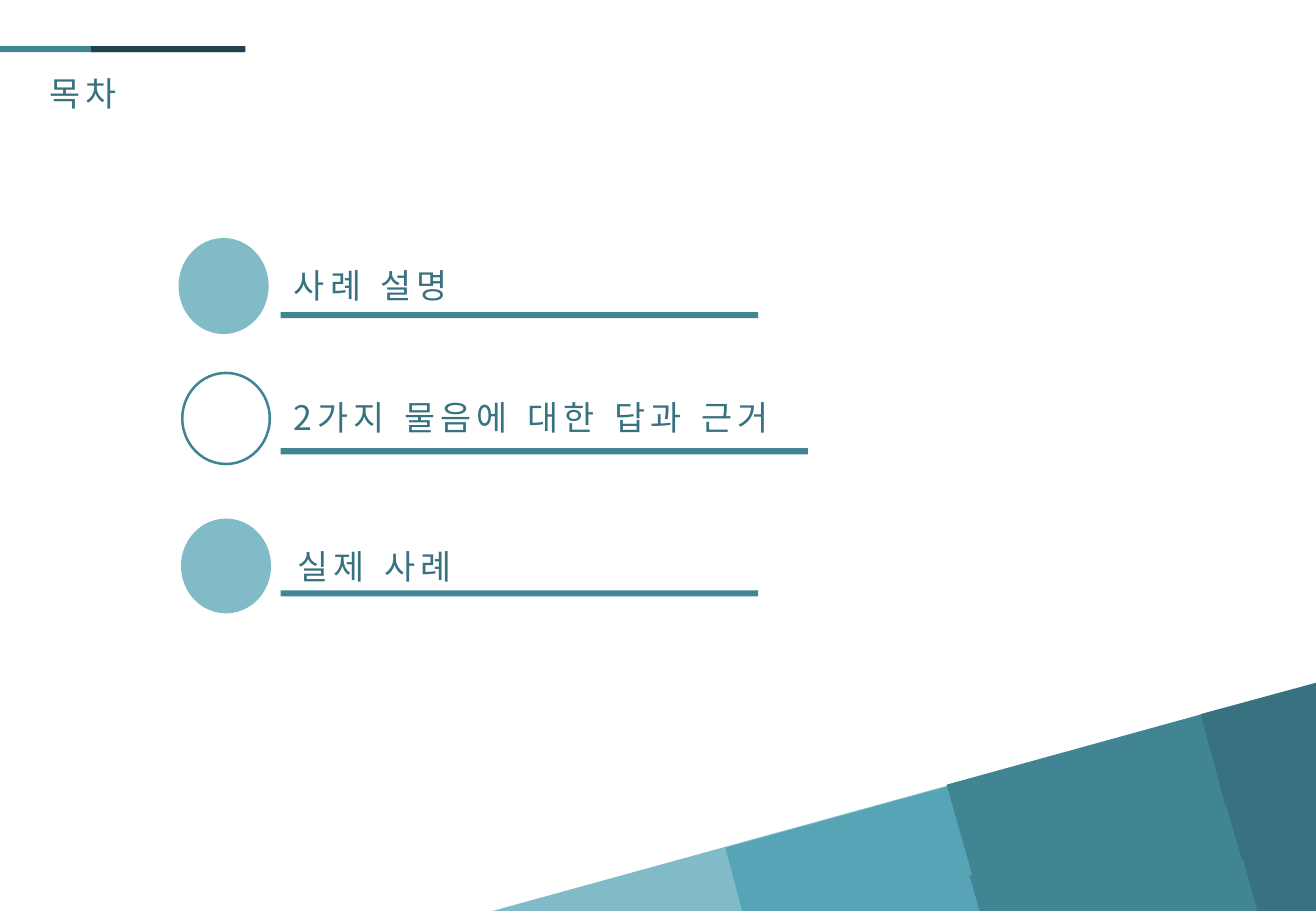
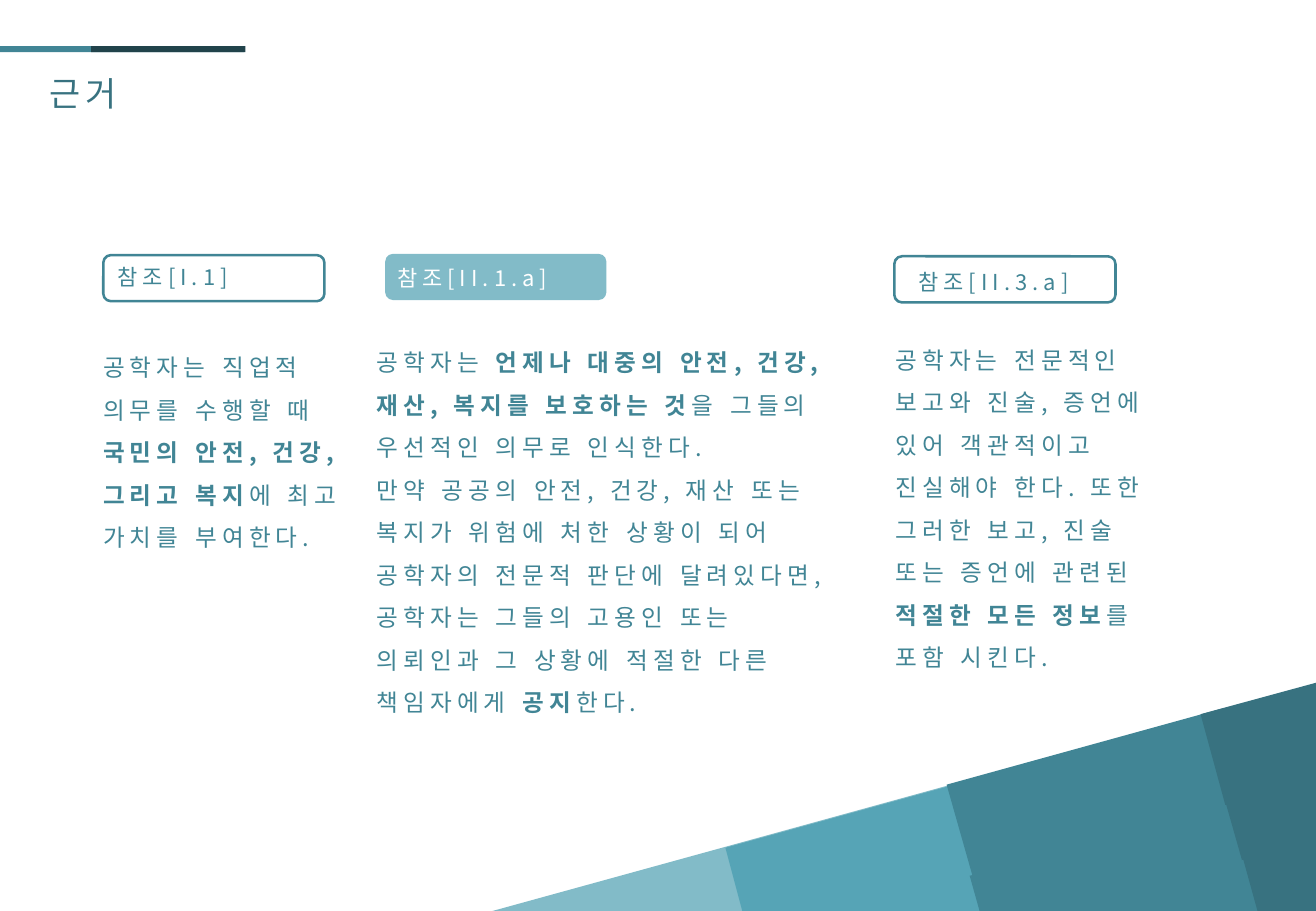
from dataclasses import dataclass
from typing import Optional

import pptx
import pptx.dml.color
import pptx.enum.shapes
import pptx.enum.text
import pptx.oxml
import pptx.oxml.ns
import pptx.util

Inches = pptx.util.Inches
Shapes = pptx.enum.shapes.MSO_SHAPE

# Shared style
FONT = "Noto Sans CJK KR"
LIGHT, MIDDLE, TEAL, DEEP, DARK = "82BBC8", "56A4B6", "418595", "387280", "21434B"
WHITE = "FFFFFF"
HEADING = {"size": pptx.util.Pt(20), "name": FONT}
BADGE = {"size": pptx.util.Pt(13), "name": FONT}
BODY = {"size": pptx.util.Pt(14), "name": FONT}
BAR_HEIGHT = 0.05
RULE_LEFT = 2.31

# Corner facets, from back to front
FACETS = [
    (LIGHT, [(8.08, 6.39), (8.18, 7.3), (7.32, 7.54), (3.99, 7.54), (3.98, 7.52)]),
    (MIDDLE, [(10.07, 5.85), (10.17, 6.77), (7.23, 7.58), (6.13, 7.58), (5.97, 6.98)]),
    (TEAL, [(10.07, 5.83), (10.17, 6.75), (8.04, 7.34), (7.79, 6.46)]),
    (DEEP, [(10.87, 5.61), (10.87, 6.56), (10.12, 6.76), (9.88, 5.88)]),
    (MIDDLE, [(10.29, 6.6), (10.39, 7.52), (10.21, 7.57), (6.78, 7.57)]),
    (TEAL, [(10.26, 6.58), (10.36, 7.5), (10.25, 7.53), (8.07, 7.53), (7.98, 7.21)]),
    (DEEP, [(10.86, 6.41), (10.86, 7.36), (10.34, 7.5), (10.09, 6.62)]),
    (TEAL, [(10.41, 7.03), (10.46, 7.53), (8.58, 7.53)]),
    (DEEP, [(10.86, 6.9), (10.86, 7.54), (10.36, 7.54), (10.23, 7.07)]),
]


@dataclass
class Box:
    left: float
    top: float
    width: float
    height: float

    def lengths(self) -> list:
        return [Inches(n) for n in (self.left, self.top, self.width, self.height)]


@dataclass
class AgendaItem:
    text: str
    text_box: Box
    circle: Box
    rule_top: float
    rule_width: float
    filled: bool = True


@dataclass
class Run:
    text: str
    bold: bool = False


@dataclass
class Reference:
    label: str
    label_box: Box
    badge: Box
    body_box: Box
    paragraphs: list
    filled: bool = False


AGENDA = [
    AgendaItem("사례 설명", Box(2.32, 2.13, 4.28, 0.44), Box(1.48, 1.97, 0.72, 0.77), 2.57, 3.93),
    AgendaItem("2가지 물음에 대한 답과 근거", Box(2.32, 3.22, 4.66, 0.44),
               Box(1.5, 3.07, 0.72, 0.75), 3.69, 4.34, filled=False),
    AgendaItem("실제 사례", Box(2.35, 4.44, 4.28, 0.44), Box(1.5, 4.28, 0.72, 0.76), 4.86, 3.93),
]

REFERENCES = [
    Reference("참조[I.1]", Box(0.87, 2.12, 1.61, 0.32), Box(0.85, 2.1, 1.82, 0.38),
              Box(0.75, 2.74, 2.26, 2.18), [[
                  Run("공학자는 직업적 의무를 수행할 때 "),
                  Run("국민의 안전, 건강, 그리고 복지", True),
                  Run("에 최고 가치를 부여한다."),
              ]]),
    Reference("참조[II.1.a]", Box(3.17, 2.13, 1.61, 0.32), Box(3.17, 2.09, 1.82, 0.38),
              Box(3, 2.7, 4.04, 3.24), [[
                  Run("공학자는 "),
                  Run("언제나 대중의 안전, 건강, 재산, 복지를 보호하는 것", True),
                  Run("을 그들의 우선적인 의무로 인식한다."),
              ], [
                  Run("만약 공공의 안전, 건강, 재산 또는 복지가 위험에 처한 상황이 되어 "
                      "공학자의 전문적 판단에 달려있다면, 공학자는 그들의 고용인 또는 "
                      "의뢰인과 그 상황에 적절한 다른 책임자에게 "),
                  Run("공지", True),
                  Run("한다."),
              ]], filled=True),
    Reference("참조[II.3.a]", Box(7.46, 2.16, 1.61, 0.32), Box(7.36, 2.11, 1.82, 0.38),
              Box(7.27, 2.68, 2.26, 3.24), [[
                  Run("공학자는 전문적인 보고와 진술, 증언에 있어 객관적이고 진실해야 한다. "
                      "또한 그러한 보고, 진술 또는 증언에 관련된 "),
                  Run("적절한 모든 정보", True),
                  Run("를 포함 시킨다."),
              ]]),
]


def rgb(color: str) -> pptx.dml.color.RGBColor:
    return pptx.dml.color.RGBColor.from_string(color)


def paint(shape, fill: Optional[str] = None, line: Optional[str] = None) -> None:
    shape.shadow.inherit = False
    if fill:
        shape.fill.solid()
        shape.fill.fore_color.rgb = rgb(fill)
    else:
        shape.fill.background()
    if line:
        shape.line.color.rgb = rgb(line)
        shape.line.width = pptx.util.Pt(1.5)
    else:
        shape.line.fill.background()


def add_shape(slide, kind, box: Box, fill: Optional[str] = None,
              line: Optional[str] = None) -> None:
    paint(slide.shapes.add_shape(kind, *box.lengths()), fill, line)


def add_text(slide, box: Box, paragraphs: list, style: dict, color: str,
             line_spacing: Optional[float] = None) -> None:
    frame = slide.shapes.add_textbox(*box.lengths()).text_frame
    frame.word_wrap = True
    frame.auto_size = pptx.enum.text.MSO_AUTO_SIZE.SHAPE_TO_FIT_TEXT
    for index, runs in enumerate(paragraphs):
        paragraph = frame.add_paragraph() if index else frame.paragraphs[0]
        paragraph.line_spacing = line_spacing
        for item in runs:
            run = paragraph.add_run()
            run.text = item.text
            for name, value in {**style, "bold": item.bold}.items():
                setattr(run.font, name, value)
            run.font.color.rgb = rgb(color)
            # Letter spacing and the East Asian typeface
            properties = run._r.get_or_add_rPr()
            properties.set("lang", "ko-KR")
            properties.set("spc", "300")
            east_asian = pptx.oxml.parse_xml(
                f'<a:ea {pptx.oxml.ns.nsdecls("a")} typeface="{FONT}"/>')
            properties.find(pptx.oxml.ns.qn("a:latin")).addnext(east_asian)


def add_base_slide(presentation, title: str):
    slide = presentation.slides.add_slide(presentation.slide_layouts[6])
    add_text(slide, Box(0.31, 0.55, 4.28, 0.44), [[Run(title)]], HEADING, DEEP)
    add_shape(slide, Shapes.RECTANGLE, Box(0, 0.38, 2.01, BAR_HEIGHT), TEAL)
    add_shape(slide, Shapes.RECTANGLE, Box(0.75, 0.38, 1.27, BAR_HEIGHT), DARK)
    for color, corners in FACETS:
        points = [(Inches(x), Inches(y)) for x, y in corners]
        builder = slide.shapes.build_freeform(*points[0])
        builder.add_line_segments(points[1:], close=True)
        paint(builder.convert_to_shape(), color)
    return slide


def build_agenda(presentation) -> None:
    slide = add_base_slide(presentation, "목차")
    for item in AGENDA:
        fill, line = (LIGHT, LIGHT) if item.filled else (None, TEAL)
        add_shape(slide, Shapes.OVAL, item.circle, fill, line)
        rule = Box(RULE_LEFT, item.rule_top, item.rule_width, BAR_HEIGHT)
        add_shape(slide, Shapes.RECTANGLE, rule, TEAL)
        add_text(slide, item.text_box, [[Run(item.text)]], HEADING, DEEP)


def build_references(presentation) -> None:
    slide = add_base_slide(presentation, "근거")
    for reference in REFERENCES:
        fill, line, color = (LIGHT, None, WHITE) if reference.filled else (None, TEAL, TEAL)
        add_shape(slide, Shapes.ROUNDED_RECTANGLE, reference.badge, fill, line)
        add_text(slide, reference.label_box, [[Run(reference.label)]], BADGE, color)
        add_text(slide, reference.body_box, reference.paragraphs, BODY, TEAL, 1.5)


def main() -> None:
    presentation = pptx.Presentation()
    presentation.slide_width = Inches(10.83)
    presentation.slide_height = Inches(7.5)
    build_agenda(presentation)
    build_references(presentation)
    presentation.save("out.pptx")


if __name__ == "__main__":
    main()
